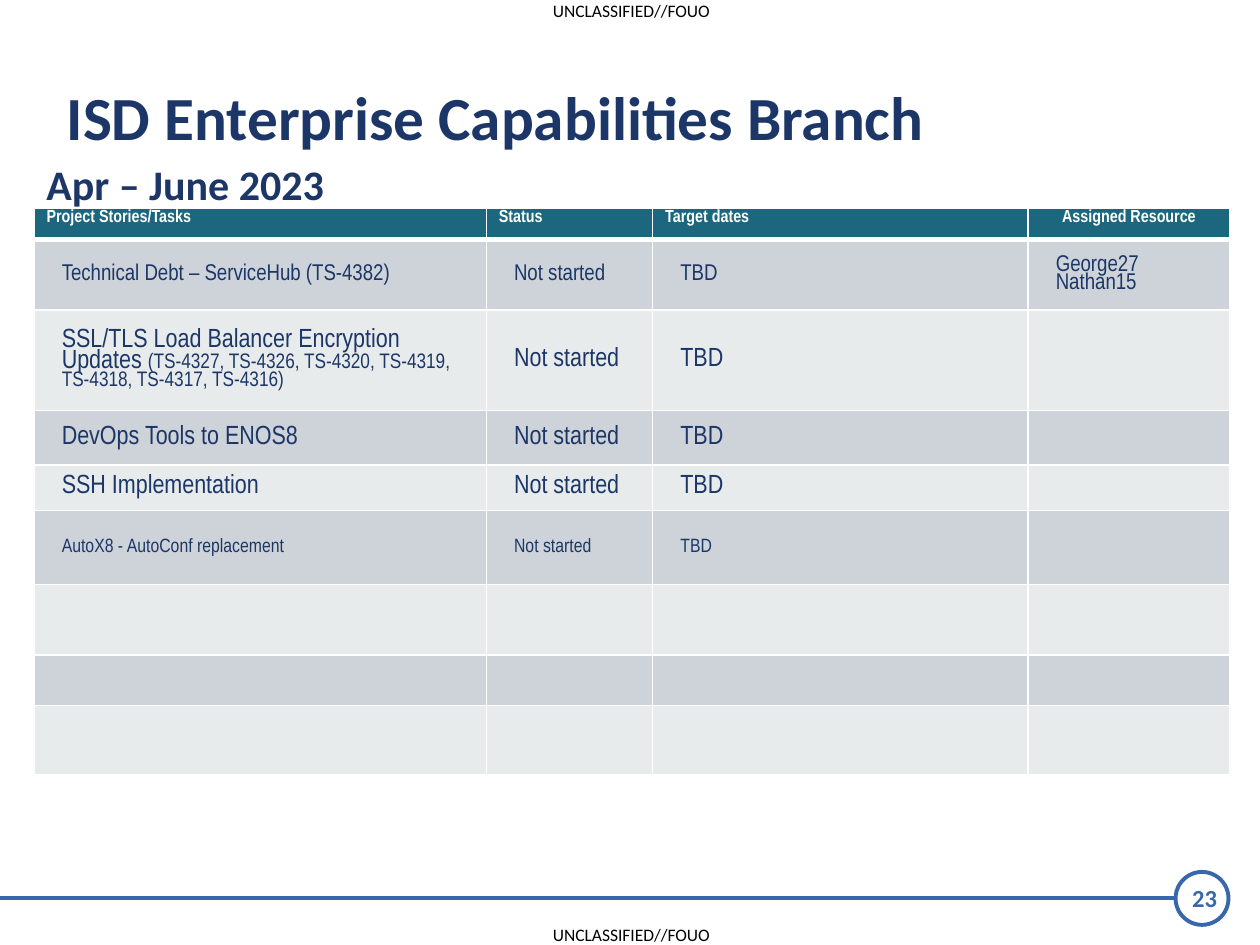
from lxml import etree
from pptx import Presentation
from pptx.dml.color import RGBColor
from pptx.enum.shapes import MSO_CONNECTOR, MSO_SHAPE
from pptx.enum.text import MSO_ANCHOR, PP_ALIGN
from pptx.oxml.ns import qn
from pptx.util import Inches, Pt

LEFT, CENTER = PP_ALIGN.LEFT, PP_ALIGN.CENTER
TOP, MIDDLE = MSO_ANCHOR.TOP, MSO_ANCHOR.MIDDLE
OVAL, STRAIGHT = MSO_SHAPE.OVAL, MSO_CONNECTOR.STRAIGHT

COLORS = {
    "navy": "1C3667", "blue": "3867AB", "teal": "1D677E", "dark": "CDD3D8",
    "light": "E8EBEC", "white": "FFFFFF", "black": "000000",
}
MARK = "UNCLASSIFIED//FOUO"
HEADS = ["Project Stories/Tasks", "Status", "Target dates", "Assigned Resource"]
# Each task: name, text size, tickets in small type, resources, space after
TASKS = [
    ("Technical Debt – ServiceHub (TS-4382)", 13, "", "George27\nNathan15", 0),
    ("SSL/TLS Load Balancer Encryption Updates ", 15,
     "(TS-4327, TS-4326, TS-4320, TS-4319, TS-4318, TS-4317, TS-4316)", "", 0),
    ("DevOps Tools to ENOS8", 15, "", "", 0),
    ("SSH Implementation", 15, "", "", 0),
    ("AutoX8 - AutoConf replacement", 11, "", "", 6),
]
COLS = [3.59, 1.32, 2.98, 1.6]
ROWS = [0.25, 0.56, 0.8, 0.43, 0.36, 0.59, 0.56, 0.4, 0.55]


def rgb(name):
    return RGBColor.from_string(COLORS[name])


class Deck:
    def __init__(self):
        self.prs = Presentation()
        self.prs.slide_width, self.prs.slide_height = Inches(10), Inches(7.5)
        self.slide = self.prs.slides.add_slide(self.prs.slide_layouts[5])
        self.face, self.narrow = "Calibri", "Arial Narrow"

    def style(self, run, size, color, bold=False, face=None):
        font = run.font
        font.name, font.size, font.bold = face or self.face, Pt(size), bold
        font.color.rgb = rgb(color)

    def fill_text(self, shape, text, size, color, bold, align, anchor, pad):
        frame = shape.text_frame
        frame.text = text
        frame.word_wrap = True
        frame.vertical_anchor = anchor
        frame.margin_left = frame.margin_right = Inches(pad)
        frame.margin_top = frame.margin_bottom = Inches(pad / 2)
        para = frame.paragraphs[0]
        para.alignment = align
        self.style(para.runs[0], size, color, bold)

    def title(self, text, box, size):
        shape = self.slide.shapes.title
        shape.left, shape.top, shape.width, shape.height = map(Inches, box)
        self.fill_text(shape, text, size, "navy", True, LEFT, TOP, 0.1)

    def label(self, text, box, size, color, bold=False, align=LEFT,
              anchor=TOP, pad=0.1):
        shape = self.slide.shapes.add_textbox(*map(Inches, box))
        self.fill_text(shape, text, size, color, bold, align, anchor, pad)

    def rule(self, start, end):
        line = self.slide.shapes.add_connector(
            STRAIGHT, *map(Inches, start + end))
        line.line.color.rgb, line.line.width = rgb("blue"), Pt(2.25)
        etree.SubElement(line._element.spPr, qn("a:effectLst"))

    def ring(self, box):
        shape = self.slide.shapes.add_shape(OVAL, *map(Inches, box))
        shape.shadow.inherit = False
        shape.fill.background()
        shape.line.color.rgb, shape.line.width = rgb("blue"), Pt(2.25)

    def border(self, cell, widths):
        """Draw white edges; widths are points for left, right, top, bottom."""
        props = cell._tc.get_or_add_tcPr()
        for spot, (side, width) in enumerate(zip("LRTB", widths)):
            edge = etree.Element(qn(f"a:ln{side}"), w=str(Pt(width)))
            fill = etree.SubElement(edge, qn("a:solidFill"))
            etree.SubElement(fill, qn("a:srgbClr"), val=COLORS["white"])
            props.insert(spot, edge)

    def grid(self, spot, cols, rows):
        frame = self.slide.shapes.add_table(
            len(rows), len(cols), *map(Inches, spot),
            Inches(sum(cols)), Inches(sum(rows)))
        table = frame.table
        for col, width in zip(table.columns, cols):
            col.width = Inches(width)
        for num, (row, height) in enumerate(zip(table.rows, rows)):
            row.height = Inches(height)
            shade = "teal" if num == 0 else "dark" if num % 2 else "light"
            for cell in row.cells:
                cell.fill.solid()
                cell.fill.fore_color.rgb = rgb(shade)
                cell.margin_top = cell.margin_bottom = Inches(0.03)
                self.border(cell, (1, 1, 3 if num == 1 else 1,
                                   3 if num == 0 else 1))
        return table

    def head(self, cell, text, align):
        cell.text = text
        para = cell.text_frame.paragraphs[0]
        para.alignment, para.line_spacing = align, 0.85
        self.style(para.runs[0], 10, "white", True, self.narrow)

    def entry(self, cell, text, size, after):
        cell.text = text
        cell.vertical_anchor = MIDDLE
        for para in cell.text_frame.paragraphs:
            para.line_spacing, para.space_after = 0.85, Pt(after)
            para._p.get_or_add_pPr().set("marL", str(Inches(0.12)))
            for run in para.runs:
                self.style(run, size, "navy", face=self.narrow)

    def save(self):
        self.prs.save("out.pptx")


def main():
    deck = Deck()
    for top in (0, 7.33):
        deck.label(MARK, (4.37, top, 1.28, 0.17), 10, "black",
                   align=CENTER, pad=0)
    deck.rule((0, 7.13), (9.33, 7.13))
    deck.ring((9.33, 6.92, 0.42, 0.42))
    deck.label("23", (9.2, 6.96, 0.72, 0.33), 14, "blue", True, CENTER, MIDDLE)
    deck.title("ISD Enterprise Capabilities Branch", (0.43, 0.58, 8.26, 0.69), 35)
    deck.label("Apr – June 2023", (0.27, 1.21, 3.55, 0.5), 24, "navy", True)

    table = deck.grid((0.27, 1.65), COLS, ROWS)
    for col, text in enumerate(HEADS):
        deck.head(table.cell(0, col), text, CENTER if col == 3 else LEFT)
    for row, (name, size, tickets, people, after) in enumerate(TASKS, 1):
        for col, text in enumerate((name, "Not started", "TBD", people)):
            if text:
                deck.entry(table.cell(row, col), text, size, after)
        if tickets:
            run = table.cell(row, 0).text_frame.paragraphs[0].add_run()
            run.text = tickets
            deck.style(run, 12, "navy", face=deck.narrow)
    deck.save()


if __name__ == "__main__":
    main()
